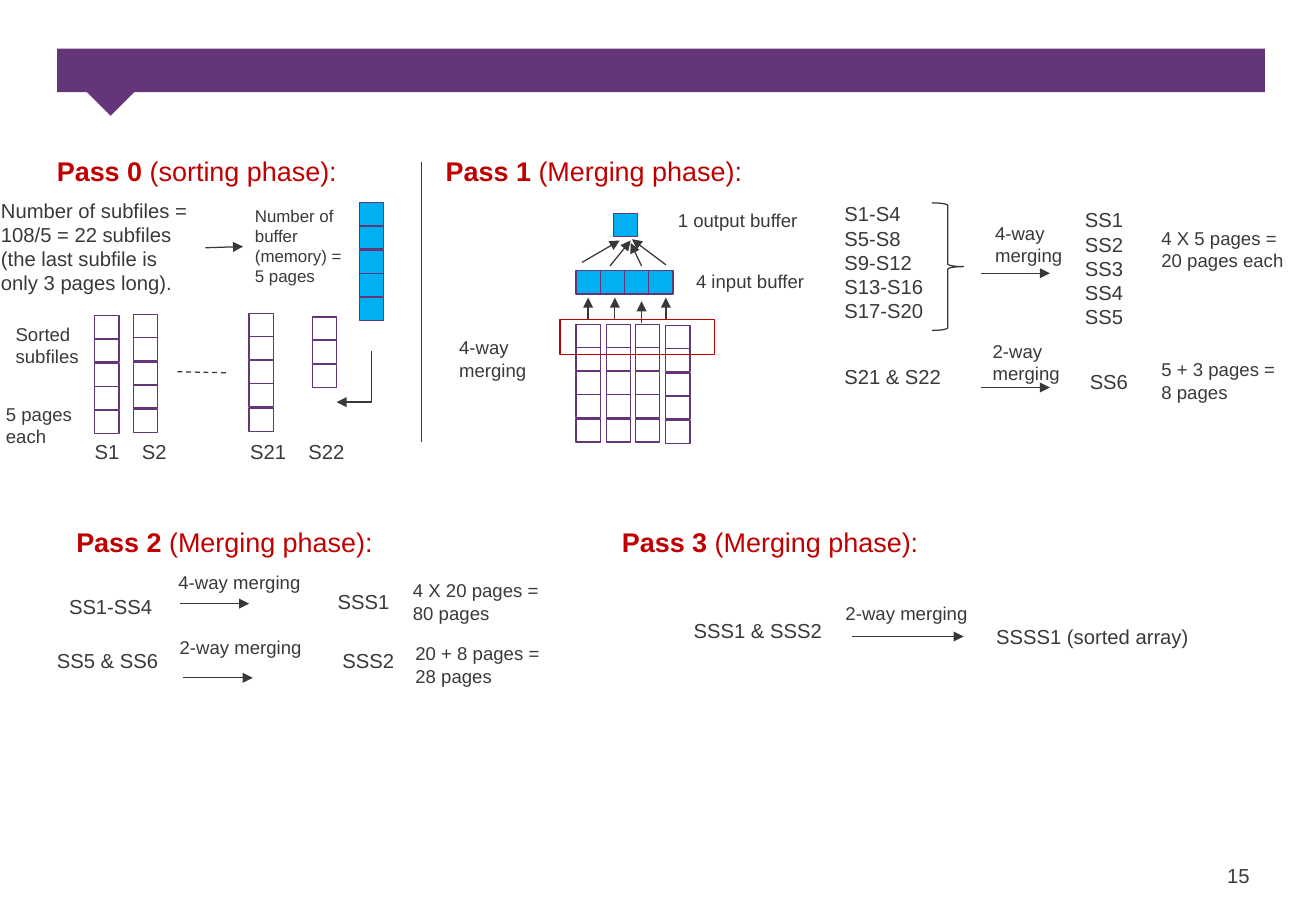
from dataclasses import dataclass
from typing import Any

from lxml import etree
from pptx import Presentation
from pptx.dml.color import RGBColor
from pptx.enum.dml import MSO_LINE
from pptx.enum.shapes import MSO_CONNECTOR, MSO_SHAPE
from pptx.oxml.ns import qn
from pptx.util import Pt

PX = 9144  # 100 px to the inch
RECT, BRACE = MSO_SHAPE.RECTANGLE, MSO_SHAPE.RIGHT_BRACE
STRAIGHT, DASH = MSO_CONNECTOR.STRAIGHT, MSO_LINE.DASH


@dataclass(frozen=True)
class Theme:
    font: str = "Arial"
    ink: str = "393938"
    stroke: str = "383837"
    purple: str = "653579"
    red: str = "C00000"
    blue: str = "00B0F0"
    title: int = 16
    body: int = 12
    label: int = 11
    small: int = 10
    line: float = 0.75


THEME = Theme()


@dataclass
class Region:
    """A box on the slide; everything drawn in it is measured from its corner."""
    slide: Any
    left: int
    top: int
    width: int
    height: int

    def at(self, x, y):
        return (self.left + x) * PX, (self.top + y) * PX

    def text(self, text, x, y, width=100, height=30, size=THEME.body,
             color=THEME.ink, bold_lead="", wrap=True):
        box = self.slide.shapes.add_textbox(*self.at(x, y), width * PX, height * PX)
        frame = box.text_frame
        frame.word_wrap = wrap
        for i, line in enumerate(text.split("\n")):
            paragraph = frame.add_paragraph() if i else frame.paragraphs[0]
            if bold_lead:
                paragraph.add_run().text = bold_lead
                paragraph.runs[0].font.bold = True
            paragraph.add_run().text = line
            for run in paragraph.runs:
                run.font.name, run.font.size = THEME.font, Pt(size)
                run.font.color.rgb = RGBColor.from_string(color)

    def label(self, text, x, y, width=130, height=29):
        self.text(text, x, y, width, height, size=THEME.label)

    def heading(self, name, phase, x):
        self.text(f" ({phase} phase):", x, 0, 274, 37, size=THEME.title,
                  color=THEME.red, bold_lead=name, wrap=False)

    def shape(self, kind, x, y, width, height, fill=None, line=None):
        shape = self.slide.shapes.add_shape(kind, *self.at(x, y), width * PX, height * PX)
        paint(shape, fill, line)
        return shape

    def pages(self, x, y, count=5, fill=None):
        """A column of memory pages."""
        for i in range(count):
            self.shape(RECT, x, y + i * 39 // 2, 20, 19, fill, THEME.purple)

    def line(self, x1, y1, x2, y2, arrow=True, dash=None):
        connector = self.slide.shapes.add_connector(
            STRAIGHT, *self.at(x1, y1), *self.at(x2, y2))
        stroke(connector.line, THEME.stroke, arrow)
        if dash:
            connector.line.dash_style = dash
        etree.SubElement(connector.line._get_or_add_ln().getparent(), qn("a:effectLst"))

    def bent_arrow(self, start, *points):
        builder = self.slide.shapes.build_freeform(*self.at(*start))
        builder.add_line_segments([self.at(*point) for point in points], close=False)
        path = builder.convert_to_shape()
        paint(path, None, None)
        stroke(path.line, THEME.stroke, arrow=True)


def stroke(line, color, arrow=False):
    line.color.rgb = RGBColor.from_string(color)
    line.width = Pt(THEME.line)
    if arrow:
        etree.SubElement(line._get_or_add_ln(), qn("a:tailEnd"), type="triangle")


def paint(shape, fill, line):
    shape.shadow.inherit = False
    if fill:
        shape.fill.solid()
        shape.fill.fore_color.rgb = RGBColor.from_string(fill)
    else:
        shape.fill.background()
    if line:
        stroke(shape.line, line)
    else:
        shape.line.fill.background()


def banner(region):
    region.shape(RECT, 0, 0, region.width, region.height, THEME.purple)
    pointer = region.shape(RECT, 26, 12, 36, 36, THEME.purple)
    pointer.rotation = 45


def sorting_pass(region):
    region.heading("Pass 0", "sorting", 37)
    region.text("Number of subfiles = 108/5 = 22 subfiles (the last subfile is only "
                "3 pages long).", -9, 36, 177, 91)
    # Memory buffer
    region.line(169, 82, 200, 81)
    region.text("Number of buffer (memory) = 5 pages", 200, 42, 94, 77, size=THEME.small)
    region.pages(296, 45, fill=THEME.blue)
    region.bent_arrow((306, 167), (306, 209), (277, 209))
    # Sorted subfiles
    region.label("Sorted subfiles", 3, 139, 75, 47)
    region.label("5 pages each", -5, 205, 85, 47)
    for name, x, y, count, name_x in (("S1", 78, 138, 5, 68), ("S2", 110, 137, 5, 107),
                                      ("S21", 205, 136, 5, 196), ("S22", 257, 139, 3, 244)):
        region.pages(x, y, count)
        region.text(name, name_x, 235, 60)
    region.line(146, 184, 187, 185, arrow=False, dash=DASH)
    # Divider
    region.line(region.width, 11, region.width, 242, arrow=False)


def first_merge_pass(region):
    region.heading("Pass 1", "Merging", 10)
    # Buffers
    region.pages(158, 54, 1, THEME.blue)
    for i in range(4):
        region.pages(127 + 20 * i, 101, 1, THEME.blue)
    for ends in ((132, 94, 163, 76), (201, 96, 173, 75),
                 (155, 97, 172, 76), (181, 97, 172, 78)):
        region.line(*ends)
    region.label("1 output buffer", 201, 45)
    region.label("4 input buffer", 216, 95)
    # Subfiles being merged
    for x, y in ((127, 145), (152, 145), (176, 145), (201, 146)):
        region.pages(x, y)
    region.shape(RECT, 114, 141, 127, 29, line=THEME.red)
    for x, y in ((137, 141), (159, 141), (181, 144), (201, 141)):
        region.line(x, y, x, y - 18)
    region.label("4-way merging", 21, 150, 85, 47)
    # Four-way merge results
    region.text("S1-S4\nS5-S8\nS9-S12\nS13-S16\nS17-S20", 338, 39, 85, 111)
    region.shape(BRACE, 420, 45, 26, 105, line=THEME.stroke)
    region.label("4-way merging", 462, 56, 85, 47)
    region.line(460, 103, 517, 103)
    region.text("SS1\nSS2\nSS3\nSS4\nSS5", 536, 44, 60, 111)
    region.label("4 X 5 pages = 20 pages each", 599, 60, 124, 47)
    # Two-way merge result
    region.text("S21 & S22", 338, 173, 110)
    region.label("2-way merging", 460, 153, 111, 47)
    region.line(460, 197, 517, 197)
    region.text("SS6", 540, 177, 60)
    region.label("5 + 3 pages = 8 pages", 599, 168, 124, 47)


def second_merge_pass(region):
    region.heading("Pass 2", "Merging", 53)
    # Each part: text, x, y
    for inputs, merge, arrow, output, size in (
            (("SS1-SS4", 47, 56), ("4-way merging", 137, 37), (148, 69),
             ("SSS1", 268, 52), ("4 X 20 pages = 80 pages", 330, 44)),
            (("SS5 & SS6", 37, 101), ("2-way merging", 138, 91), (151, 130),
             ("SSS2", 272, 101), ("20 + 8 pages = 28 pages", 332, 96))):
        region.text(*inputs, width=110)
        region.label(*merge)
        region.line(*arrow, arrow[0] + 57, arrow[1])
        region.text(*output)
        region.label(*size, width=124, height=47)


def third_merge_pass(region):
    region.heading("Pass 3", "Merging", 0)
    region.text("SSS1 & SSS2", 59, 76, 148)
    region.label("2-way merging", 184, 63)
    region.line(199, 96, 291, 96)
    region.text("SSSS1 (sorted array)", 308, 81, 206)


def page_number(region):
    region.text("15", 0, 0, region.width, region.height, wrap=False)


def main():
    deck = Presentation()
    deck.slide_width, deck.slide_height = 1083 * PX, 750 * PX
    slide = deck.slides.add_slide(deck.slide_layouts[6])
    banner(Region(slide, 47, 40, 994, 36))
    sorting_pass(Region(slide, 0, 122, 347, 262))
    first_merge_pass(Region(slide, 347, 122, 736, 262))
    second_merge_pass(Region(slide, 0, 428, 502, 160))
    third_merge_pass(Region(slide, 502, 428, 581, 160))
    page_number(Region(slide, 1000, 706, 41, 30))
    deck.save("out.pptx")


if __name__ == "__main__":
    main()
